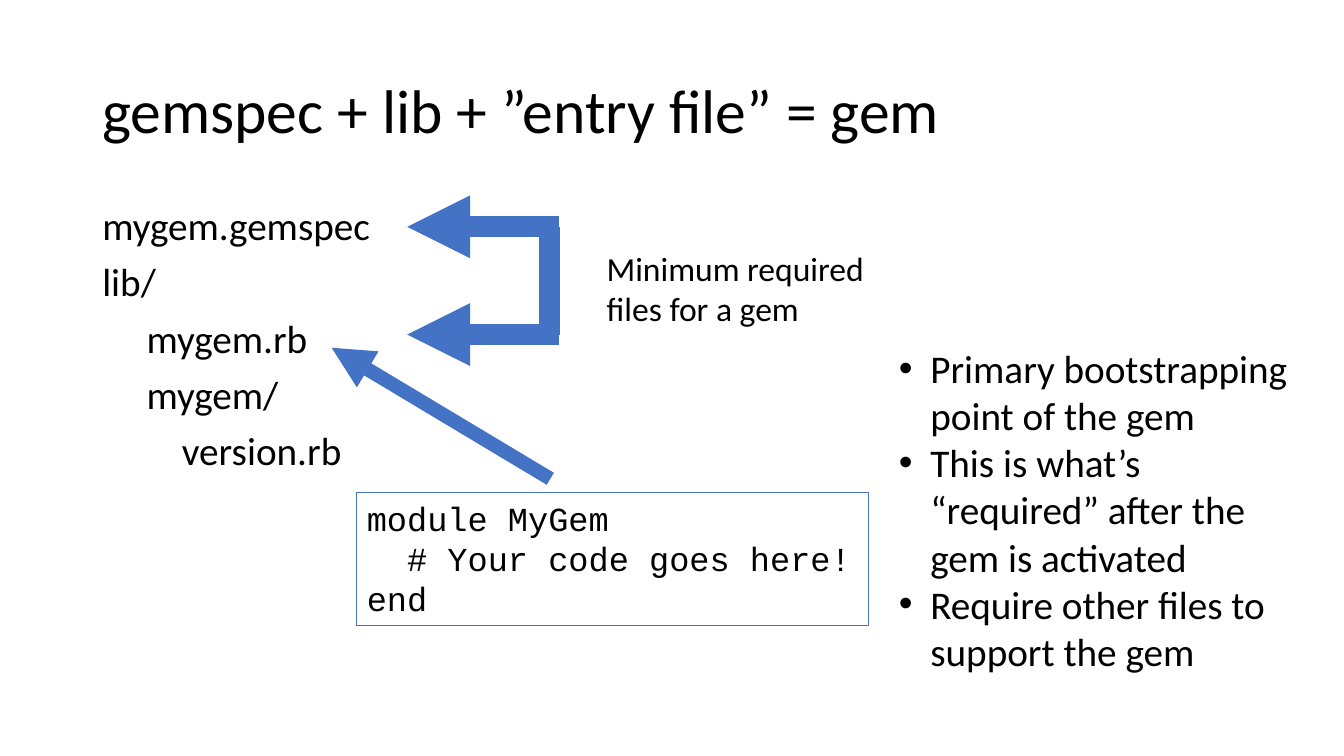
from lxml.etree import SubElement
from pptx import Presentation
from pptx.dml.color import RGBColor
from pptx.enum.shapes import MSO_CONNECTOR as Connector, MSO_SHAPE as Shape
from pptx.enum.text import MSO_ANCHOR as Anchor, PP_ALIGN as Align
from pptx.oxml.ns import qn
from pptx.util import Pt

BLUE = "4472C4"
BLACK = "000000"


def color(hex_string):
    return RGBColor.from_string(hex_string)


def write(frame, text, size=28, font="Calibri", fill=BLACK, indents=(),
          spacing=None, before=None, bullet=None, hanging=0, anchor=Anchor.TOP):
    """Fill a text frame, one paragraph for each line of text."""
    frame.word_wrap = True
    frame.vertical_anchor = anchor
    for number, line in enumerate(text.split("\n")):
        paragraph = frame.add_paragraph() if number else frame.paragraphs[0]
        paragraph.alignment = Align.LEFT
        if spacing:
            paragraph.line_spacing = spacing
        if before is not None:
            paragraph.space_before = Pt(before)
        properties = paragraph._p.get_or_add_pPr()
        left = indents[number] if indents else hanging
        properties.set("marL", str(Pt(left)))
        properties.set("indent", str(-Pt(hanging)))
        if bullet:
            SubElement(properties, qn("a:buFont"), typeface="Arial")
            SubElement(properties, qn("a:buChar"), char=bullet)
        run = paragraph.add_run()
        run.text = line
        run.font.size = Pt(size)
        run.font.name = font
        run.font.color.rgb = color(fill)


def add_text(slide, box, text, **style):
    label = slide.shapes.add_textbox(*map(Pt, box))
    write(label.text_frame, text, **style)


def add_line(slide, start, end, width, arrow=True):
    line = slide.shapes.add_connector(Connector.STRAIGHT, *map(Pt, start + end))
    line.line.color.rgb = color(BLUE)
    line.line.width = Pt(width)
    properties = line._element.spPr
    if arrow:
        SubElement(properties.find(qn("a:ln")), qn("a:tailEnd"), type="triangle")
    SubElement(properties, qn("a:effectLst"))


def add_file_tree(slide, box):
    child, grandchild = 31.64, 56.95
    add_text(slide, box, "mygem.gemspec\nlib/\nmygem.rb\nmygem/\nversion.rb",
             indents=(0, 0, child, child, grandchild), spacing=0.9, before=10)


def add_required_files(slide, box):
    """Bracket pointing at the two required files, with its caption."""
    left, top, width, height = box
    tip, spine, right = left, left + 101.5, left + 108.7
    bottom = top + height
    for y in (bottom, top):
        add_line(slide, (right, y), (tip, y), 15)
    add_line(slide, (spine, top), (spine, bottom), 15, arrow=False)
    caption_left = left + 135.3
    add_text(slide, (caption_left, top + 11.5, left + width - caption_left, 65.5),
             "Minimum required files for a gem", size=24)


def add_entry_code(slide, box):
    """Code of the entry file, with an arrow up to its name in the tree."""
    left, top, width, height = box
    add_line(slide, (left + 138.2, top - 10), (left - 18, top - 103.6), 10)
    code = slide.shapes.add_shape(Shape.RECTANGLE, *map(Pt, box))
    code.shadow.inherit = False
    code.fill.background()
    code.line.color.rgb = color(BLUE)
    code.line.width = Pt(0.75)
    write(code.text_frame, "module MyGem\n# Your code goes here!\nend",
          size=24, font="Courier New", indents=(0, 28.8, 0))


def add_entry_notes(slide, box):
    add_text(slide, box,
             "Primary bootstrapping point of the gem\n"
             "This is what’s “required” after the gem is activated\n"
             "Require other files to support the gem",
             bullet="•", hanging=22.5)


def main():
    deck = Presentation()
    deck.slide_width, deck.slide_height = Pt(960), Pt(540)
    slide = deck.slides.add_slide(deck.slide_layouts[6])

    # Title
    add_text(slide, (66, 29, 828, 104), "gemspec + lib + ”entry file” = gem",
             size=44, spacing=0.9, anchor=Anchor.MIDDLE)
    # File tree and the files it needs
    add_file_tree(slide, (66, 144, 828, 343))
    add_required_files(slide, (290.9, 162, 359.2, 77))
    # Entry file: its code and its role
    add_entry_code(slide, (254.9, 352, 365.8, 94.5))
    add_entry_notes(slide, (635, 242.6, 299, 245))

    deck.save("out.pptx")


if __name__ == "__main__":
    main()
